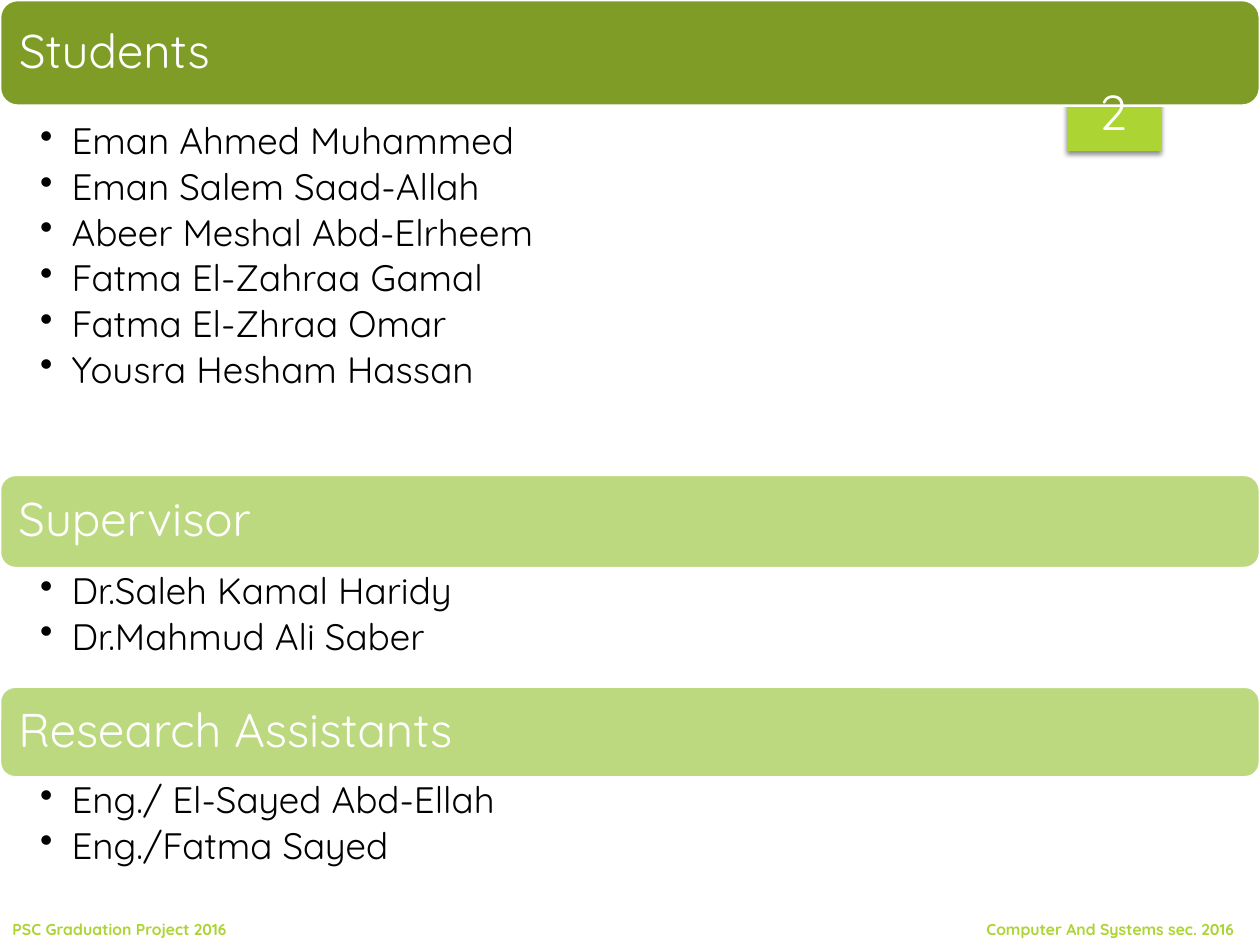
from lxml.etree import SubElement
from pptx import Presentation
from pptx.dml.color import RGBColor
from pptx.enum.shapes import MSO_SHAPE as Shape
from pptx.enum.text import MSO_ANCHOR as Anchor, PP_ALIGN as Align
from pptx.oxml.ns import qn
from pptx.util import Pt

WIDTH, HEIGHT = 720, 540
FONT = "Quicksand"
WHITE = RGBColor(0xFF, 0xFF, 0xFF)
BLACK = RGBColor(0x00, 0x00, 0x00)
LIME = RGBColor(0xAC, 0xD4, 0x33)
OLIVE = RGBColor(0x7F, 0x9D, 0x26)
PALE_GREEN = RGBColor(0xBC, 0xD9, 0x7F)

# Title, bar colour, bar top and height, list top and height, names
SECTIONS = [
    ("Students", OLIVE, 0, 60.4, 67.7, 203.7,
     ["Eman Ahmed Muhammed", "Eman Salem Saad-Allah",
      "Abeer Meshal Abd-Elrheem", "Fatma El-Zahraa Gamal",
      "Fatma El-Zhraa Omar", "Yousra Hesham Hassan"]),
    ("Supervisor", PALE_GREEN, 271.4, 53.3, 324.7, 67.7,
     ["Dr.Saleh Kamal Haridy", "Dr.Mahmud Ali Saber"]),
    ("Research Assistants", PALE_GREEN, 392.4, 51.8, 444.2, 67.7,
     ["Eng./ El-Sayed Abd-Ellah", "Eng./Fatma Sayed"]),
]


def write(shape, lines, size, color, anchor, insets=(7.2, 3.6, 7.2, 3.6),
          align=Align.LEFT, bold=False):
    frame = shape.text_frame
    frame.text = "\n".join(lines)
    frame.word_wrap = True
    frame.vertical_anchor = anchor
    (frame.margin_left, frame.margin_top,
     frame.margin_right, frame.margin_bottom) = map(Pt, insets)
    for para in frame.paragraphs:
        para.alignment = align
        for span in para.runs:
            span.font.name = FONT
            span.font.size = Pt(size)
            span.font.bold = bold
            span.font.color.rgb = color
    return frame


def add_block(page, kind, left, top, width, height, fill):
    block = page.shapes.add_shape(kind, Pt(left), Pt(top), Pt(width), Pt(height))
    block.shadow.inherit = False
    block.fill.solid()
    block.fill.fore_color.rgb = fill
    block.line.fill.background()
    return block


def add_label(page, left, top, width, height, text, size, color, **style):
    box = page.shapes.add_textbox(Pt(left), Pt(top), Pt(width), Pt(height))
    write(box, [text], size, color, Anchor.BOTTOM, **style)


def add_number_tab(page):
    tab = add_block(page, Shape.RECTANGLE, 609.8, 0, 54, 86.4, LIME)
    effects = tab._element.spPr.find(qn("a:effectLst"))
    shadow = SubElement(effects, qn("a:outerShdw"), blurRad=str(Pt(3)),
                        dist=str(Pt(2)), dir="5400000", rotWithShape="0")
    color = SubElement(shadow, qn("a:srgbClr"), val="000000")
    SubElement(color, qn("a:alpha"), val="45000")


def add_bar(page, title, fill, top, height):
    bar = add_block(page, Shape.ROUNDED_RECTANGLE, 0, top, WIDTH, height, fill)
    bar.line.color.rgb = WHITE
    bar.line.width = Pt(1.5)
    frame = write(bar, [title], 27, WHITE, Anchor.MIDDLE, insets=(8, 8, 8, 8))
    frame.paragraphs[0].line_spacing = 0.9


def add_names(page, names, top, height):
    box = page.shapes.add_textbox(0, Pt(top), Pt(WIDTH), Pt(height))
    frame = write(box, names, 21, BLACK, Anchor.TOP, insets=(22.9, 2.7, 15, 2.7))
    for para in frame.paragraphs:
        para.level = 1
        para.line_spacing = 0.9
        para.space_after = Pt(3.4)
        props = para._p.get_or_add_pPr()
        props.set("marL", str(Pt(18)))
        props.set("indent", str(-Pt(18)))
        SubElement(props, qn("a:buChar"), char="•")


def main():
    deck = Presentation()
    deck.slide_width, deck.slide_height = Pt(WIDTH), Pt(HEIGHT)
    page = deck.slides.add_slide(deck.slide_layouts[6])

    # Tab behind the page number
    add_number_tab(page)

    # Headed lists of people
    for title, fill, bar_top, bar_height, top, height, names in SECTIONS:
        add_bar(page, title, fill, bar_top, bar_height)
        add_names(page, names, top, height)

    # Page number and footers
    add_label(page, 611.3, 23, 49.7, 60.5, "2", 28, WHITE, align=Align.CENTER)
    add_label(page, 0, 522, 303.8, 18, "PSC Graduation Project 2016",
              9, LIME, bold=True)
    add_label(page, 556.6, 522, 163.4, 18, "Computer And Systems sec. 2016",
              9, LIME, bold=True)

    deck.save("out.pptx")


if __name__ == "__main__":
    main()
